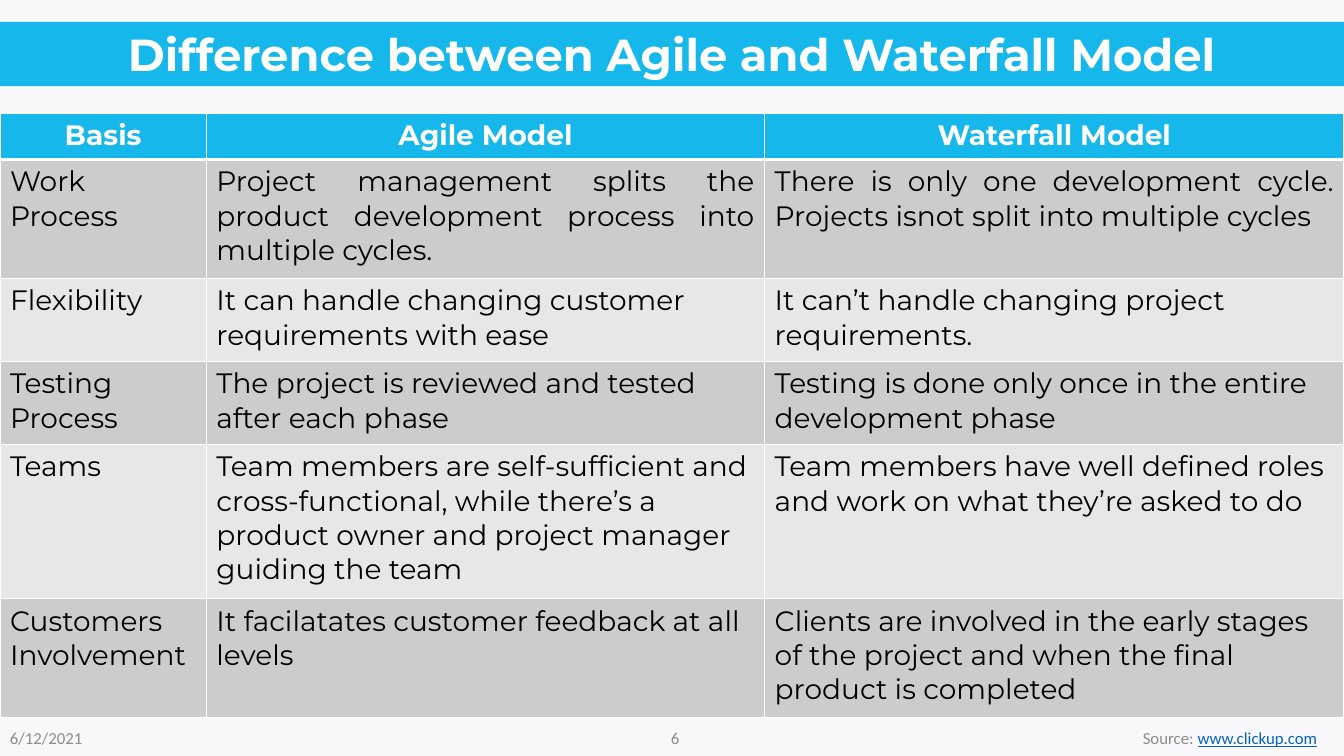
from lxml import etree
from pptx import Presentation
from pptx.dml.color import RGBColor
from pptx.enum.shapes import MSO_SHAPE
from pptx.enum.text import MSO_ANCHOR, PP_ALIGN
from pptx.oxml.ns import qn
from pptx.util import Cm, Pt

WHITE = RGBColor(0xFF, 0xFF, 0xFF)
BLACK = RGBColor(0x00, 0x00, 0x00)
PAPER = RGBColor(0xF8, 0xF8, 0xFB)
BLUE = RGBColor(0x16, 0xB7, 0xEB)
DARK_BAND = RGBColor(0xCC, 0xCC, 0xCC)
LIGHT_BAND = RGBColor(0xE7, 0xE7, 0xE7)
GREY = RGBColor(0x8C, 0x8C, 0x8C)
LINK_BLUE = RGBColor(0x05, 0x63, 0xC1)

WIDTH, HEIGHT = Cm(33.87), Cm(19.05)
COLUMN_WIDTHS = [5.2, 14.07, 14.6]
ROW_HEIGHTS = [1.17, 3, 2.09, 2.09, 3.89, 3]
COMPARISON = [
    ("Basis", "Agile Model", "Waterfall Model"),
    ("Work Process",
     "Project management splits the product development process into multiple cycles.",
     "There is only one development cycle. Projects isnot split into multiple cycles"),
    ("Flexibility",
     "It can handle changing customer requirements with ease",
     "It can’t handle changing project requirements."),
    ("Testing Process",
     "The project is reviewed and tested after each phase",
     "Testing is done only once in the entire development phase"),
    ("Teams",
     "Team members are self-sufficient and cross-functional, while there’s a "
     "product owner and project manager guiding the team",
     "Team members have well defined roles and work on what they’re asked to do"),
    ("Customers Involvement",
     "It facilatates customer feedback at all levels",
     "Clients are involved in the early stages of the project and when the final "
     "product is completed"),
]


def write(paragraph, text, size=20, font="Montserrat", color=BLACK, bold=False,
          underline=False, align=PP_ALIGN.LEFT):
    """Append a formatted run to a paragraph."""
    paragraph.alignment = align
    run = paragraph.add_run()
    run.text = text
    run.font.size = Pt(size)
    run.font.name = font
    run.font.color.rgb = color
    run.font.bold = bold
    run.font.underline = underline


def add_rectangle(slide, left, top, width, height, color):
    """Add a plain filled rectangle."""
    shape = slide.shapes.add_shape(MSO_SHAPE.RECTANGLE, left, top, width, height)
    shape.shadow.inherit = False
    shape.fill.solid()
    shape.fill.fore_color.rgb = color
    shape.line.fill.background()
    return shape


def add_title(slide, left, top, width, height):
    """Add the title band."""
    frame = add_rectangle(slide, left, top, width, height, BLUE).text_frame
    frame.word_wrap = True
    write(frame.paragraphs[0], "Difference between Agile and Waterfall Model",
          size=32, color=WHITE, bold=True, align=PP_ALIGN.CENTER)


def set_borders(cell, bottom_width):
    """Draw white borders around a cell, beneath its fill in the XML order."""
    properties = cell._tc.get_or_add_tcPr()
    widths = {"a:lnL": 1, "a:lnR": 1, "a:lnT": 1, "a:lnB": bottom_width}
    for position, (tag, width) in enumerate(widths.items()):
        line = etree.Element(qn(tag), w=str(Pt(width)))
        fill = etree.SubElement(line, qn("a:solidFill"))
        etree.SubElement(fill, qn("a:srgbClr"), val=str(WHITE))
        properties.insert(position, line)


def add_comparison(slide, left, top, width, height):
    """Add the table that compares the two models."""
    table = slide.shapes.add_table(
        len(COMPARISON), len(COLUMN_WIDTHS), left, top, width, height).table
    for column, share in zip(table.columns, COLUMN_WIDTHS):
        column.width = int(width * share / sum(COLUMN_WIDTHS))
    for row, share in zip(table.rows, ROW_HEIGHTS):
        row.height = int(height * share / sum(ROW_HEIGHTS))
    for row_index, texts in enumerate(COMPARISON):
        header = row_index == 0
        band = BLUE if header else DARK_BAND if row_index % 2 else LIGHT_BAND
        align = {0: PP_ALIGN.CENTER, 1: PP_ALIGN.JUSTIFY}.get(row_index, PP_ALIGN.LEFT)
        for column_index, text in enumerate(texts):
            cell = table.cell(row_index, column_index)
            cell.fill.solid()
            cell.fill.fore_color.rgb = band
            set_borders(cell, 3 if header else 1)
            write(cell.text_frame.paragraphs[0], text, bold=header, align=align,
                  color=WHITE if header else BLACK)


def add_footer(slide, left, top, height):
    """Add the date, the slide number and the source."""
    items = [
        (0, 2.46, PP_ALIGN.LEFT, [("6/12/2021", GREY, False)]),
        (16.48, 0.89, PP_ALIGN.RIGHT, [("6", GREY, False)]),
        (28.55, 5.32, PP_ALIGN.LEFT,
         [("Source: ", GREY, False), ("www.clickup.com", LINK_BLUE, True)]),
    ]
    for offset, width, align, runs in items:
        frame = slide.shapes.add_textbox(
            left + Cm(offset), top, Cm(width), height).text_frame
        frame.word_wrap = True
        frame.vertical_anchor = MSO_ANCHOR.MIDDLE
        for text, color, underline in runs:
            write(frame.paragraphs[0], text, size=12, font="Calibri", color=color,
                  underline=underline, align=align)


def main():
    """Build and save the presentation."""
    presentation = Presentation()
    presentation.slide_width, presentation.slide_height = WIDTH, HEIGHT
    slide = presentation.slides.add_slide(presentation.slide_layouts[6])
    add_rectangle(slide, 0, 0, WIDTH, HEIGHT, PAPER)
    add_footer(slide, 0, Cm(18.09), Cm(1.01))
    add_comparison(slide, 0, Cm(2.85), WIDTH, Cm(15.24))
    add_title(slide, 0, Cm(0.55), WIDTH, Cm(1.62))
    presentation.save("out.pptx")


if __name__ == "__main__":
    main()
